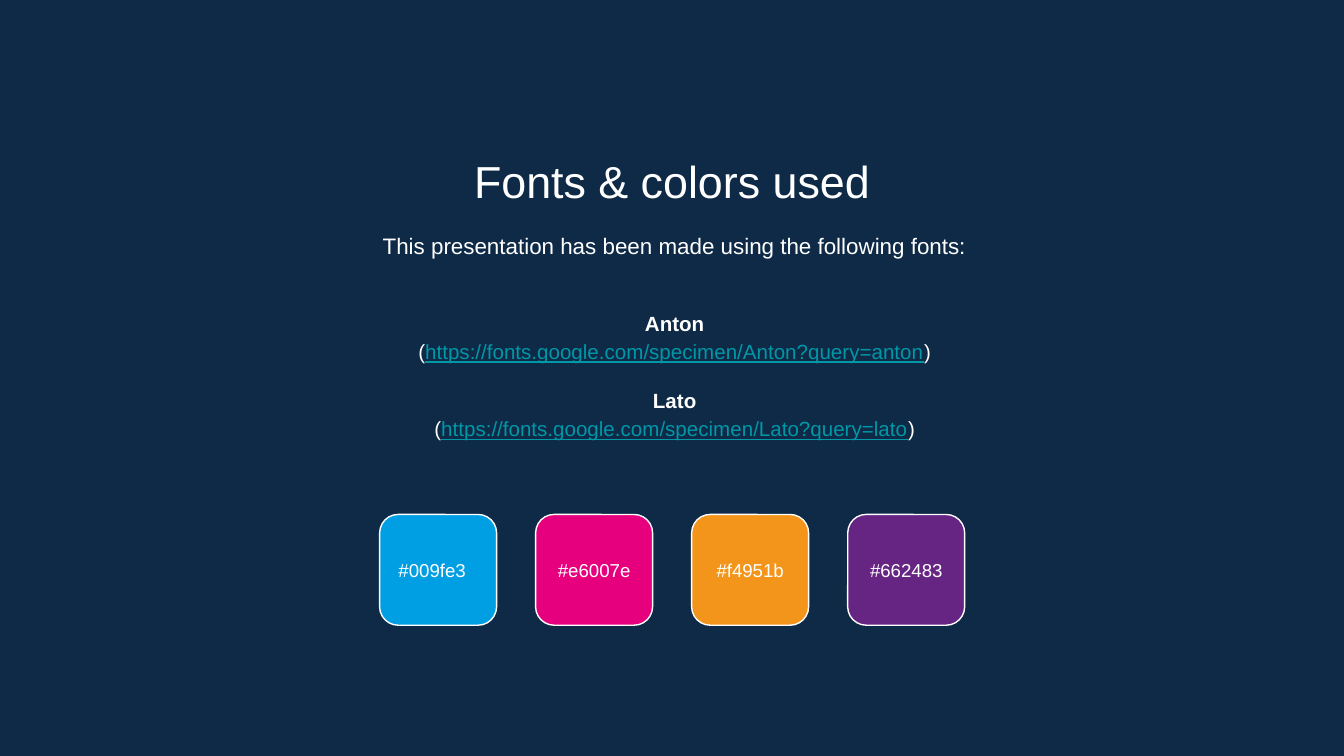
from pptx import Presentation
from pptx import util as u
from pptx.dml.color import RGBColor
from pptx.enum import shapes, text

WHITE = "FFFFFF"
NAVY = "0E2A47"
TEAL = "0097A7"


def color(code):
    return RGBColor.from_string(code.upper())


class Deck:
    font = "Arial"
    inset = 0.1

    def __init__(self, width, ratio):
        self.prs = Presentation()
        self.prs.slide_width = u.Inches(width)
        self.prs.slide_height = u.Inches(width * ratio)
        self.slide = self.prs.slides.add_slide(self.prs.slide_layouts[6])
        fill = self.slide.background.fill
        fill.solid()
        fill.fore_color.rgb = color(NAVY)

    def place(self, left, top, width, height):
        wide, high = self.prs.slide_width / 100, self.prs.slide_height / 100
        return [round(n) for n in (left * wide, top * high, width * wide, height * high)]

    def box(self, spot, middle=False, left=inset):
        frame = self.slide.shapes.add_textbox(*self.place(*spot)).text_frame
        frame.word_wrap = True
        frame.margin_left = u.Inches(left)
        frame.margin_right = frame.margin_top = frame.margin_bottom = u.Inches(self.inset)
        frame.vertical_anchor = text.MSO_ANCHOR.MIDDLE if middle else text.MSO_ANCHOR.TOP
        return frame

    def run(self, para, words, size, code=WHITE, bold=False, line=False):
        run = para.add_run()
        run.text = words
        font = run.font
        font.name, font.size = self.font, u.Pt(size)
        font.bold, font.underline = bold, line
        font.color.rgb = color(code)

    def label(self, spot, words, size, space=1, middle=False, left=inset, align=text.PP_ALIGN.CENTER):
        para = self.box(spot, middle, left).paragraphs[0]
        para.alignment, para.line_spacing = align, space
        self.run(para, words, size)

    def fonts(self, spot, items, size, gap):
        frame = self.box(spot, middle=True)
        for index, (name, link) in enumerate(items):
            head = frame.add_paragraph() if index else frame.paragraphs[0]
            if index:
                head.space_before = u.Pt(gap)
            body = frame.add_paragraph()
            for para in (head, body):
                para.alignment, para.line_spacing = text.PP_ALIGN.CENTER, 1.15
            self.run(head, name, size, bold=True)
            self.run(body, "(", size)
            self.run(body, link, size, TEAL, line=True)
            self.run(body, ")", size)

    def tile(self, spot, code):
        shape = self.slide.shapes.add_shape(shapes.MSO_SHAPE.ROUNDED_RECTANGLE, *self.place(*spot))
        shape.shadow.inherit = False
        shape.fill.solid()
        shape.fill.fore_color.rgb = color(code)
        shape.line.color.rgb = color(WHITE)
        shape.line.width = u.Pt(0.75)


def main():
    deck = Deck(10, 9 / 16)
    deck.label((11.45, 18.55, 77.1, 9.4), "Fonts & colors used", 24)
    deck.label((11.65, 28.35, 77.1, 8.5),
               "This presentation has been made using the following fonts:", 12, 1.15)
    deck.fonts((11.65, 37.3, 77.1, 24.4), [
        ("Anton", "https://fonts.google.com/specimen/Anton?query=anton"),
        ("Lato", "https://fonts.google.com/specimen/Lato?query=lato"),
    ], 11, 11)

    start, step, side = 28.25, 11.61, 8.7
    for col, code in enumerate(("009fe3", "e6007e", "f4951b", "662483")):
        left = start + col * step
        deck.tile((left, 68.05, side, 14.65), code)
        first = {} if col else {"left": 0.14, "align": text.PP_ALIGN.LEFT}
        deck.label((left, 71.15, side, 8.5), "#" + code, 10, middle=True, **first)
    deck.prs.save("out.pptx")


if __name__ == "__main__":
    main()
